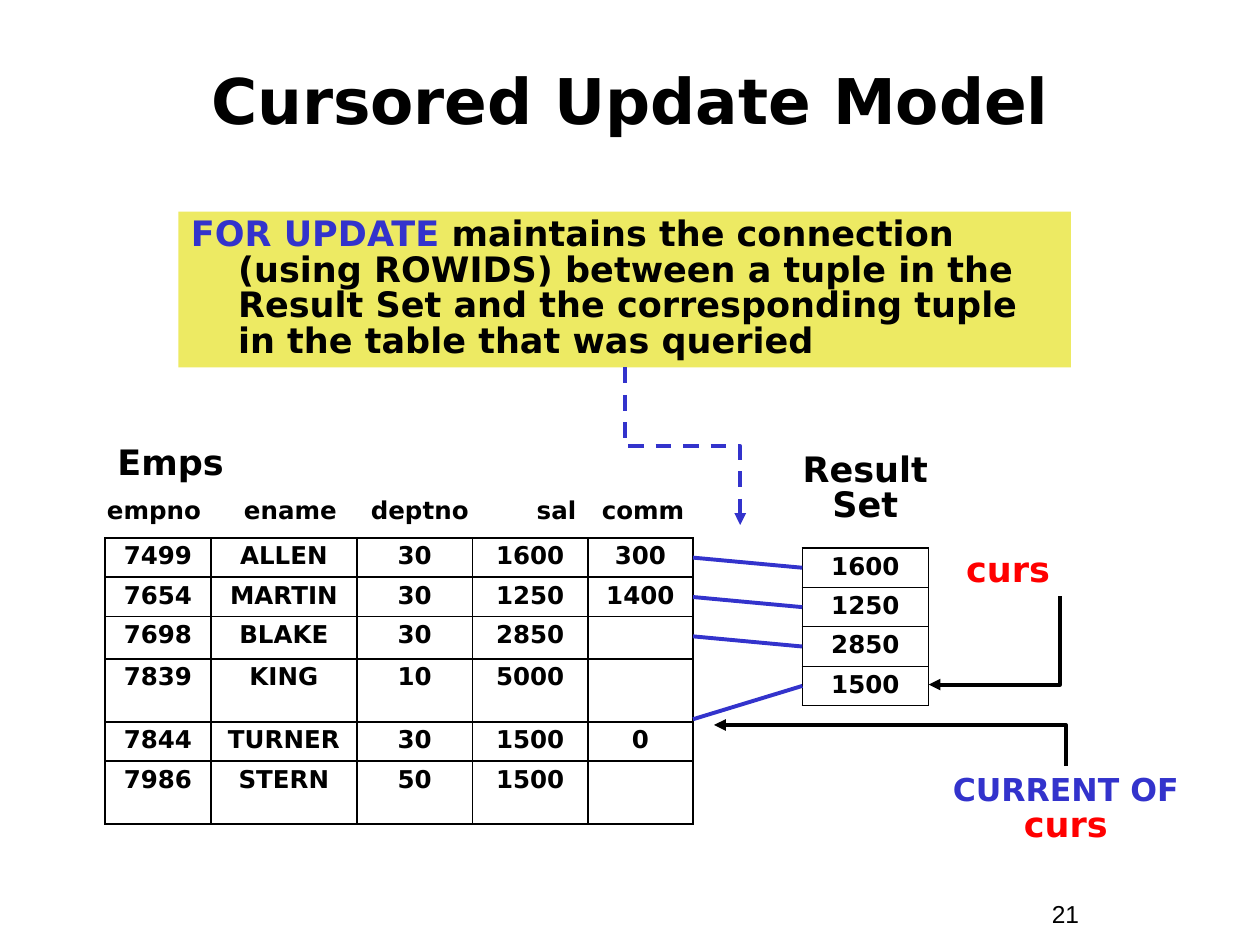
from lxml import etree
from pptx import Presentation
from pptx.dml.color import RGBColor
from pptx.enum import dml, shapes, text
from pptx.oxml import ns
from pptx.util import Pt

BLACK, BLUE, RED, YELLOW = "000000", "3333CC", "FF0000", "EDEA63"
FONT = {"name": "DejaVu Sans", "bold": True}
CENTER = text.PP_ALIGN.CENTER
ROW_H, TALL_H = 22.5, 36
THICK, THIN = 1.08, 0.45


def rgb(value):
    return RGBColor.from_string(value)


def sub(parent, tag, **attrs):
    return etree.SubElement(parent, ns.qn(tag), {k: str(v) for k, v in attrs.items()})


def add_runs(p, runs, size):
    """Each run is (text, colour[, size]); a newline is a line break."""
    for content, color, *own_size in runs:
        if content == "\n":
            p.add_line_break()
            continue
        r = p.add_run()
        r.text = content
        for key, value in {**FONT, "size": Pt(own_size[0] if own_size else size)}.items():
            setattr(r.font, key, value)
        r.font.color.rgb = rgb(color)


def add_text(s, box, runs, size, fill=None, hanging=False, tabs=(), **fmt):
    """Place one paragraph in a box, on a filled rectangle if asked."""
    box = [Pt(v) for v in box]
    if fill:
        sp = s.shapes.add_shape(shapes.MSO_SHAPE.RECTANGLE, *box)
        sp.shadow.inherit = False
        sp.fill.solid()
        sp.fill.fore_color.rgb = rgb(fill)
        sp.line.fill.background()
    else:
        sp = s.shapes.add_textbox(*box)
    tf = sp.text_frame
    tf.word_wrap = True
    tf.vertical_anchor = fmt.pop("anchor", text.MSO_ANCHOR.TOP)
    p = tf.paragraphs[0]
    for key, value in {"alignment": text.PP_ALIGN.LEFT, **fmt}.items():
        setattr(p, key, value)
    pPr = p._p.get_or_add_pPr()
    if hanging:
        pPr.set("marL", str(Pt(27)))
        pPr.set("indent", str(-Pt(27)))
    if tabs:
        tab_list = sub(pPr, "a:tabLst")
        for pos in tabs:
            sub(tab_list, "a:tab", pos=Pt(pos), algn="l")
    add_runs(p, runs, size)
    return p


def add_grid(s, left, top, widths, heights, rows, inner):
    """Bordered table with thick outer lines and the given inner line width."""
    frame = s.shapes.add_table(len(rows), len(widths), Pt(left), Pt(top),
                               Pt(sum(widths)), Pt(sum(heights)))
    table = frame.table
    table.first_row = table.horz_banding = False
    for col, width in zip(table.columns, widths):
        col.width = Pt(width)
    for i, (row, height) in enumerate(zip(rows, heights)):
        table.rows[i].height = Pt(height)
        for j, value in enumerate(row):
            cell = table.cell(i, j)
            p = cell.text_frame.paragraphs[0]
            p.alignment, p.line_spacing = CENTER, 0.9
            if value:
                add_runs(p, [(value, BLACK)], 14)
            else:
                sub(p._p, "a:endParaRPr", sz=1400)
            tcPr = cell._tc.get_or_add_tcPr()
            outer = {"a:lnL": j == 0, "a:lnR": j == len(row) - 1,
                     "a:lnT": i == 0, "a:lnB": i == len(rows) - 1}
            for tag, is_edge in outer.items():
                ln = sub(tcPr, tag, w=Pt(THICK if is_edge else inner))
                sub(sub(ln, "a:solidFill"), "a:srgbClr", val=BLACK)
            cell.fill.background()


def add_line(s, start, end, color, kind=shapes.MSO_CONNECTOR.STRAIGHT):
    cx = s.shapes.add_connector(kind, *[Pt(v) for v in (*start, *end)])
    cx.line.color.rgb = rgb(color)
    cx.line.width = Pt(2.25)
    sub(cx._element.spPr, "a:effectLst")
    return cx


def add_elbow(s, box, color, rotation, preset, flip=None, dashed=False):
    """Bent arrow; box is its frame before rotation in degrees."""
    x, y, w, h = box
    cx = add_line(s, (x, y), (x + w, y + h), color, shapes.MSO_CONNECTOR.ELBOW)
    spPr = cx._element.spPr
    spPr.find(ns.qn("a:prstGeom")).set("prst", preset)
    xfrm = spPr.find(ns.qn("a:xfrm"))
    xfrm.set("rot", str(rotation * 60000))
    if flip:
        xfrm.set(flip, "1")
    if dashed:
        cx.line.dash_style = dml.MSO_LINE.DASH
    sub(cx.line._get_or_add_ln(), "a:tailEnd", type="triangle")


def emps_region(s, left, top):
    """Table of employees, with its name and column heads above."""
    rows = [("7499", "ALLEN", "30", "1600", "300"),
            ("7654", "MARTIN", "30", "1250", "1400"),
            ("7698", "BLAKE", "30", "2850", ""),
            ("7839", "KING", "10", "5000", ""),
            ("7844", "TURNER", "30", "1500", "0"),
            ("7986", "STERN", "50", "1500", "")]
    heights = [ROW_H, ROW_H, ROW_H, TALL_H, ROW_H, TALL_H]
    add_text(s, (left, top - 55.5, 126, 28), [("Emps", BLACK)], 20,
             hanging=True, line_spacing=0.85)
    heads = "\t".join(["empno", "ename", "deptno", "sal", "comm"])
    add_text(s, (left - 6, top - 28, 348, 24.5), [(heads, BLACK)], 14,
             tabs=(78.3, 150.8, 245.6, 282.8))
    add_grid(s, left, top, [60.5, 83.5, 66, 66, 60], heights, rows, THICK)


def result_region(s, left, top):
    """Result set with its heading."""
    add_text(s, (left - 21, top - 57.5, 114, 48),
             [("Result", BLACK), ("\n", BLACK), ("Set", BLACK)], 20,
             alignment=CENTER, line_spacing=0.85)
    rows = [("1600",), ("1250",), ("2850",), ("1500",)]
    add_grid(s, left, top, [72], [ROW_H] * 4, rows, THIN)


def row_links(s, x1, x2, emps_top, result_top):
    """Lines from employee rows to result rows."""
    starts = [emps_top + ROW_H * (i + 0.5) for i in range(3)] + [411]
    for i, y in enumerate(starts):
        add_line(s, (x1, y), (x2, result_top + ROW_H * (i + 0.5)), BLUE)


def cursor_region(s):
    """Cursor labels and the arrows from them."""
    add_elbow(s, (543, 328.5, 50.4, 75), BLACK, 90, "bentConnector2")
    add_text(s, (545, 313, 120, 28), [("curs", RED)], 20,
             hanging=True, line_spacing=0.85)
    add_text(s, (528, 438, 162, 48),
             [("CURRENT OF", BLUE, 18), (" ", BLACK), ("curs", RED)], 20,
             alignment=CENTER, line_spacing=0.85)
    add_elbow(s, (496.8, 325.5, 23.5, 201), BLACK, 270, "bentConnector2", "flipV")


def note_region(s, box):
    """Explanation with a dashed arrow to the row links."""
    add_text(s, box, [("FOR UPDATE", BLUE),
                      (" maintains the connection (using ROWIDS) between a tuple in the "
                       "Result Set and the corresponding tuple in the table that was queried",
                       BLACK)],
             20, fill=YELLOW, hanging=True, line_spacing=0.85)
    add_elbow(s, (345, 222, 90, 66), BLUE, 270, "bentConnector3", "flipH", dashed=True)


def main():
    prs = Presentation()
    prs.slide_width, prs.slide_height = Pt(720), Pt(540)
    s = prs.slides.add_slide(prs.slide_layouts[6])

    # Title and slide number
    add_text(s, (24, 24, 672, 66), [("Cursored Update Model", BLACK)], 36,
             alignment=CENTER, anchor=text.MSO_ANCHOR.MIDDLE)
    number = add_text(s, (594, 510, 66, 24.5), [("21", BLACK)], 14)
    for key, value in {"name": "Arial", "bold": False}.items():
        setattr(number.runs[0].font, key, value)

    # Tables and the links between them
    emps_left, emps_top, result_left, result_top = 60, 307.4, 458.5, 313.2
    emps_region(s, emps_left, emps_top)
    result_region(s, result_left, result_top)
    row_links(s, emps_left + 336, result_left, emps_top, result_top)

    # Explanation and cursor
    note_region(s, (102, 121, 510, 89))
    cursor_region(s)
    prs.save("out.pptx")


if __name__ == "__main__":
    main()
